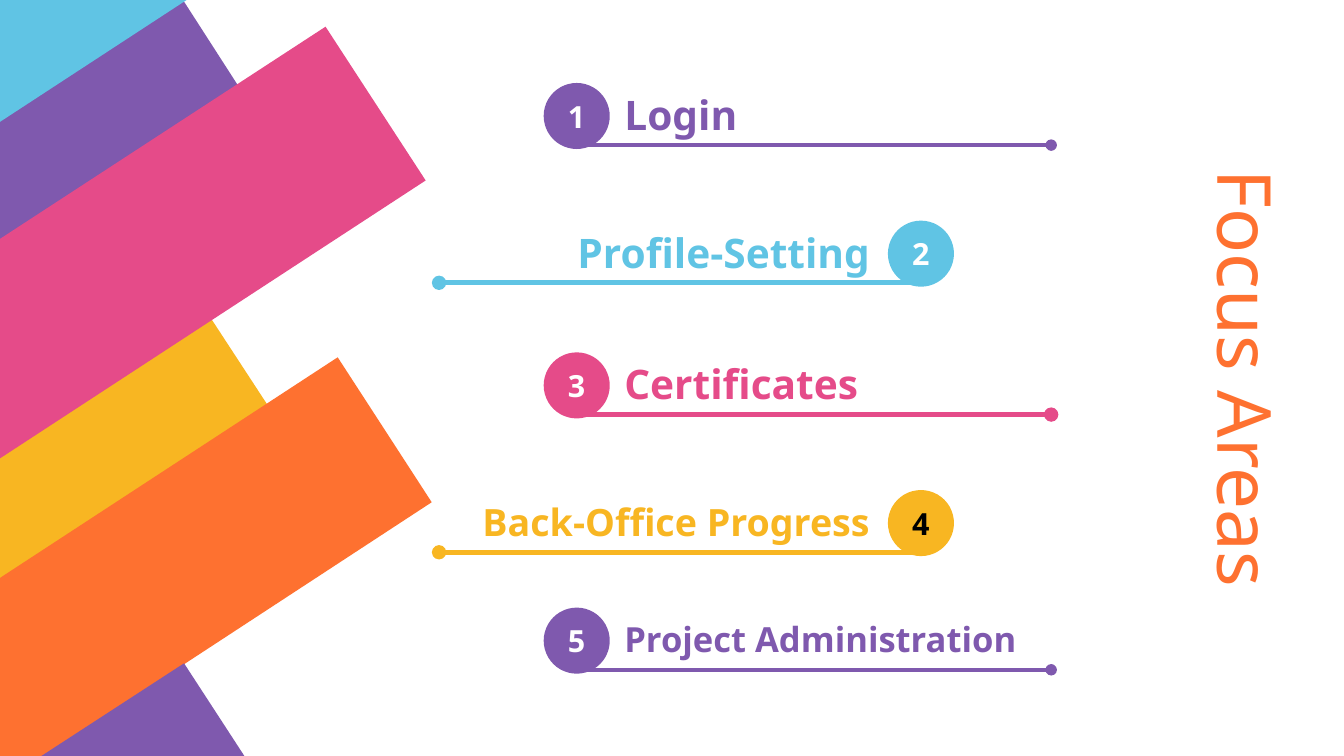
from lxml.etree import SubElement
from pptx import Presentation
from pptx.dml.color import RGBColor
from pptx.enum.shapes import MSO_CONNECTOR, MSO_SHAPE
from pptx.enum.text import MSO_ANCHOR, PP_ALIGN
from pptx.oxml.ns import qn
from pptx.util import Pt

PURPLE = RGBColor(0x7F, 0x59, 0xAE)
BLUE = RGBColor(0x60, 0xC4, 0xE4)
PINK = RGBColor(0xE5, 0x4B, 0x89)
GOLD = RGBColor(0xF8, 0xB6, 0x22)
ORANGE = RGBColor(0xFE, 0x71, 0x30)
WHITE = RGBColor(0xFF, 0xFF, 0xFF)
BLACK = RGBColor(0, 0, 0)
FONT = "Noto Sans"
SLIDE_WIDTH, SLIDE_HEIGHT = 793.44, 446.4
CIRCLE_SIZE = 39
LABEL_WIDTH, LABEL_HEIGHT = 247, 36.7

STRIPES = [
    (PURPLE, [(107.5, 0), (0, 70), (0, 153.3), (145.5, 58.3), (108, 0)]),
    (GOLD, [(121.7, 183.6), (0, 262.8), (0, 343.4), (158.4, 239.8)]),
    (PINK, [(192.2, 15.8), (0, 141.1), (0, 270.7), (251.3, 106.6)]),
    (ORANGE, [(199.4, 211), (0, 341.3), (0, SLIDE_HEIGHT), (25.9, SLIDE_HEIGHT), (254.9, 296.6)]),
    (PURPLE, [(108.7, 391.7), (24.5, SLIDE_HEIGHT), (144.3, SLIDE_HEIGHT)]),
    (BLUE, [(0, 0), (0, 72), (110.2, 0)]),
]

AREAS = [
    ("Login", 49, PURPLE, WHITE, 24, 2.27),
    ("Profile-Setting", 130.3, BLUE, WHITE, 24, 2.83),
    ("Certificates", 208.1, PINK, WHITE, 24, 2.83),
    ("Back-Office Progress", 289.4, GOLD, BLACK, 22.2, 2.83),
    ("Project Administration", 358.8, PURPLE, WHITE, 20.4, 2.27),
]


def write_text(shape, text, size, color, bold, align, wrap=True):
    """Fill a shape with one formatted, vertically centred paragraph."""
    frame = shape.text_frame
    frame.margin_left = frame.margin_right = frame.margin_top = frame.margin_bottom = 0
    frame.vertical_anchor = MSO_ANCHOR.MIDDLE
    frame.word_wrap = wrap
    para = frame.paragraphs[0]
    para.alignment = align
    span = para.add_run()
    span.text = text
    span.font.name = FONT
    span.font.size = Pt(size)
    span.font.bold = bold
    span.font.color.rgb = color


def add_stripes(page, left, top):
    """Draw the slanted colour stripes from the given corner."""
    for color, points in STRIPES:
        corners = [(Pt(left + x), Pt(top + y)) for x, y in points]
        builder = page.shapes.build_freeform(*corners[0])
        builder.add_line_segments(corners[1:], close=True)
        stripe = builder.convert_to_shape()
        stripe.shadow.inherit = False
        stripe.fill.solid()
        stripe.fill.fore_color.rgb = color
        stripe.line.fill.background()


def add_rule(page, start, end, y, color, weight):
    """Draw a horizontal rule with a round dot at its start."""
    rule = page.shapes.add_connector(MSO_CONNECTOR.STRAIGHT, Pt(start), Pt(y), Pt(end), Pt(y))
    rule.line.color.rgb = color
    rule.line.width = Pt(weight)
    SubElement(rule.line._get_or_add_ln(), qn("a:headEnd"), type="oval")
    SubElement(rule._element.spPr, qn("a:effectLst"))


def add_area(page, left, top, width, number, area, mirrored):
    """Place a numbered circle, its rule and its label in a box."""
    text, _, color, number_color, size, weight = area
    right = left + width
    if mirrored:
        circle_left, label_left = right - CIRCLE_SIZE, right - 49.6 - LABEL_WIDTH
        rule_start, rule_end, align = left, right - 24, PP_ALIGN.RIGHT
    else:
        circle_left, label_left = left, left + 47.6
        rule_start, rule_end, align = right, left + 19, PP_ALIGN.LEFT

    circle = page.shapes.add_shape(
        MSO_SHAPE.OVAL, Pt(circle_left), Pt(top), Pt(CIRCLE_SIZE), Pt(CIRCLE_SIZE))
    circle.shadow.inherit = False
    circle.fill.solid()
    circle.fill.fore_color.rgb = color
    circle.line.fill.background()
    write_text(circle, str(number), 18, number_color, True, PP_ALIGN.CENTER, wrap=False)

    add_rule(page, rule_start, rule_end, top + LABEL_HEIGHT, color, weight)

    label = page.shapes.add_textbox(Pt(label_left), Pt(top), Pt(LABEL_WIDTH), Pt(LABEL_HEIGHT))
    write_text(label, text, size, color, True, align)


def add_title(page, left, top, width, height):
    """Set the title reading downwards, centred in an upright box."""
    title = page.shapes.title
    title.left = Pt(left + (width - height) / 2)
    title.top = Pt(top + (height - width) / 2)
    title.width, title.height = Pt(height), Pt(width)
    title.rotation = 90
    write_text(title, "Focus Areas", 44, ORANGE, False, PP_ALIGN.CENTER)


def main():
    """Build and save the deck."""
    deck = Presentation()
    deck.slide_width, deck.slide_height = Pt(SLIDE_WIDTH), Pt(SLIDE_HEIGHT)
    page = deck.slides.add_slide(deck.slide_layouts[5])
    add_stripes(page, 0, 0)
    for number, area in enumerate(AREAS, 1):
        mirrored = number % 2 == 0
        left, width = (259.2, 304) if mirrored else (321, 299.6)
        add_area(page, left, area[1], width, number, area, mirrored)
    add_title(page, 692, 28.8, 88.6, 389.5)
    deck.save("out.pptx")


if __name__ == "__main__":
    main()
